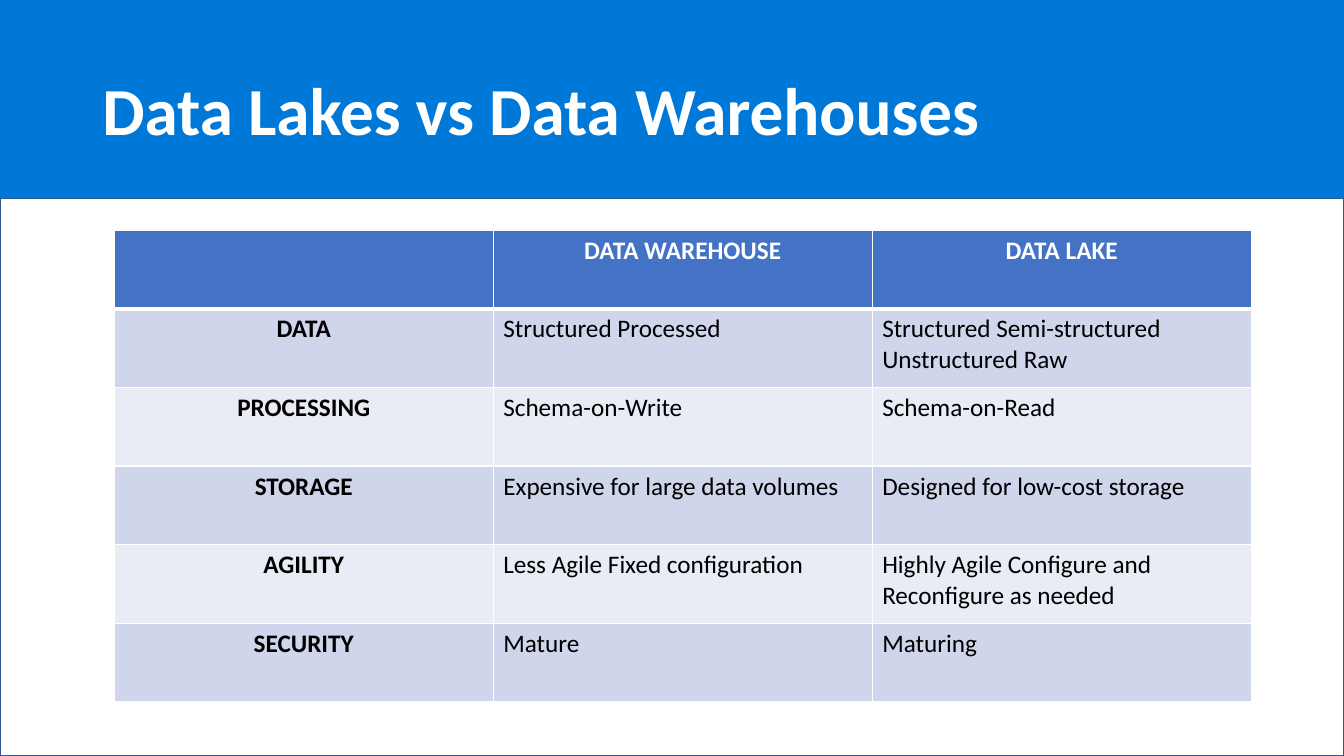
from dataclasses import dataclass

from lxml.etree import SubElement
from pptx import Presentation
from pptx.dml.color import RGBColor as Rgb
from pptx.enum.shapes import MSO_SHAPE as Preset
from pptx.enum.text import MSO_ANCHOR as Anchor, PP_ALIGN as Align
from pptx.oxml.ns import qn
from pptx.util import Cm, Pt


@dataclass(frozen=True)
class Theme:
    font: str = "Calibri"
    title_size: int = 48
    cell_size: int = 18
    background: str = "0078D7"
    white: str = "FFFFFF"
    black: str = "000000"
    panel_line: str = "325491"
    header: str = "4472C4"
    bands: tuple = ("CFD5EA", "E9EBF5")


theme = Theme()


def style_text(para, size, color, bold):
    for span in para.runs:
        span.font.name = theme.font
        span.font.size = Pt(size)
        span.font.bold = bold
        span.font.color.rgb = Rgb.from_string(color)


def add_border(cell, side, width):
    line = SubElement(cell._tc.get_or_add_tcPr(), qn(f"a:ln{side}"), w=str(Pt(width)))
    fill = SubElement(line, qn("a:solidFill"))
    SubElement(fill, qn("a:srgbClr"), val=theme.white)


deck = Presentation()
deck.slide_width, deck.slide_height = Cm(33.87), Cm(19.05)
page = deck.slides.add_slide(deck.slide_layouts[6])
page.background.fill.solid()
page.background.fill.fore_color.rgb = Rgb.from_string(theme.background)

# White panel below the title band
panel = page.shapes.add_shape(Preset.RECTANGLE, 0, Cm(5), Cm(33.87), Cm(14.05))
panel.shadow.inherit = False
panel.fill.solid()
panel.fill.fore_color.rgb = Rgb.from_string(theme.white)
panel.line.color.rgb = Rgb.from_string(theme.panel_line)
panel.line.width = Pt(1)

# Title
title = page.shapes.add_textbox(Cm(2.33), Cm(1.02), Cm(29.21), Cm(3.68))
title.text_frame.word_wrap = True
title.text_frame.vertical_anchor = Anchor.MIDDLE
title_para = title.text_frame.paragraphs[0]
title_para.text = "Data Lakes vs Data Warehouses"
title_para.line_spacing = 0.9
style_text(title_para, theme.title_size, theme.white, True)

# Comparison table
comparison = [
    ("", "DATA WAREHOUSE", "DATA LAKE"),
    ("DATA", "Structured Processed", "Structured Semi-structured Unstructured Raw"),
    ("PROCESSING", "Schema-on-Write", "Schema-on-Read"),
    ("STORAGE", "Expensive for large data volumes", "Designed for low-cost storage"),
    ("AGILITY", "Less Agile Fixed configuration",
     "Highly Agile Configure and Reconfigure as needed"),
    ("SECURITY", "Mature", "Maturing"),
]
table = page.shapes.add_table(
    len(comparison), 3, Cm(2.88), Cm(5.8), Cm(28.65), Cm(11.89)).table

for row, texts in enumerate(comparison):
    is_header = row == 0
    fill_color = theme.header if is_header else theme.bands[(row - 1) % 2]
    for column, text in enumerate(texts):
        cell = table.cell(row, column)
        is_label = is_header or column == 0

        # Borders, with a thick rule under the header
        for side in "LRTB":
            thick = (is_header and side == "B") or (row == 1 and side == "T")
            add_border(cell, side, 3 if thick else 1)
        cell.fill.solid()
        cell.fill.fore_color.rgb = Rgb.from_string(fill_color)

        # Text
        para = cell.text_frame.paragraphs[0]
        para.text = text
        para.alignment = Align.CENTER if is_label else Align.LEFT
        style_text(para, theme.cell_size,
                   theme.white if is_header else theme.black, is_label)

deck.save("out.pptx")
